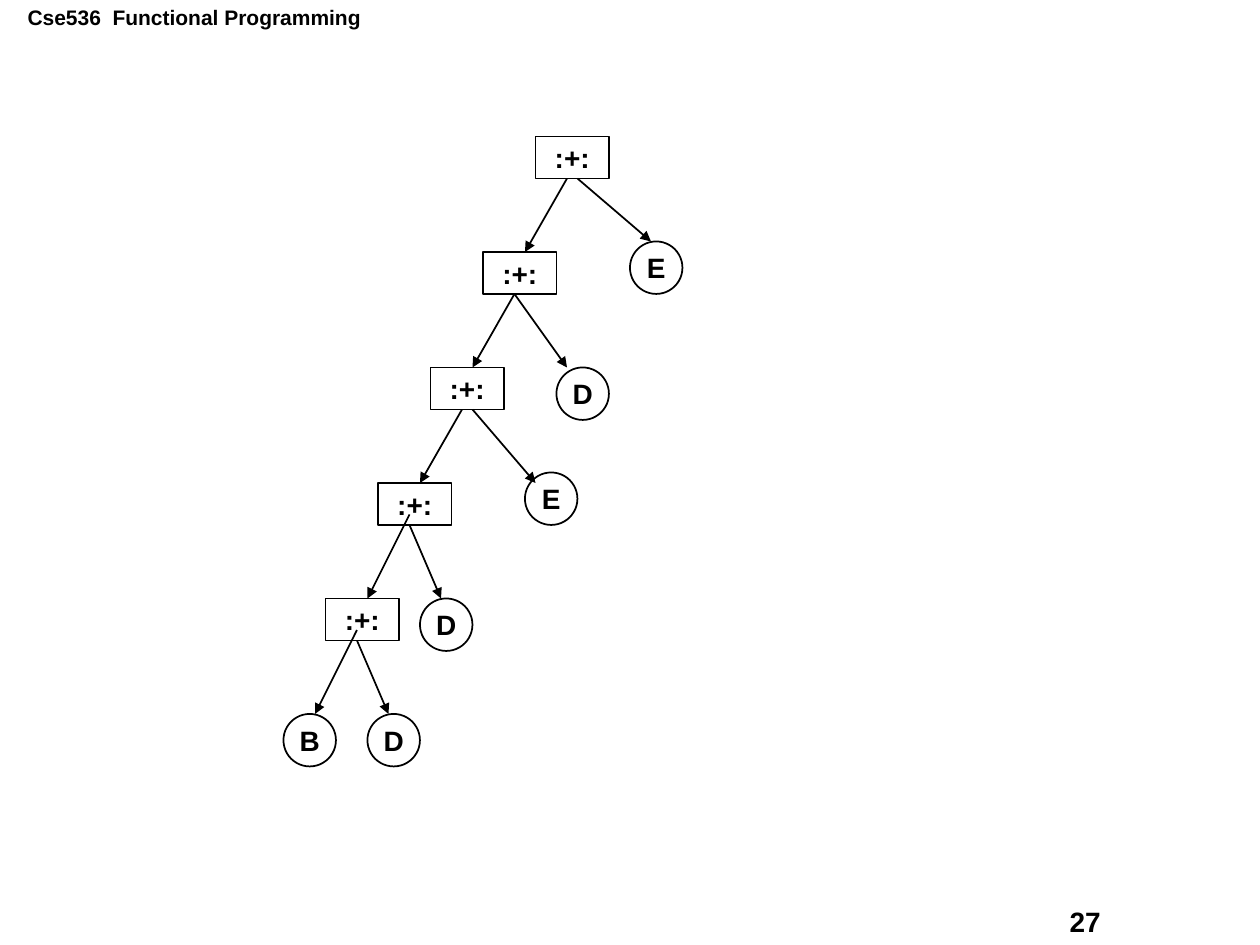
from dataclasses import dataclass

from lxml.etree import SubElement
from pptx import Presentation
from pptx.dml.color import RGBColor
from pptx.enum.shapes import MSO_CONNECTOR, MSO_SHAPE
from pptx.enum.text import MSO_ANCHOR, PP_ALIGN
from pptx.oxml.ns import qn
from pptx.util import Inches, Pt

BLACK = RGBColor(0, 0, 0)
WHITE = RGBColor(255, 255, 255)
FONT = "Arial"
CELL = Inches(1) // 12
COLUMNS, ROWS = 120, 90

Spot = tuple[int, int]

ROOT: Spot = (51, 13)
STEP: Spot = (-5, 11)
OPERATOR_SIZE: Spot = (7, 4)
LEAF_SIZE: Spot = (5, 5)
LEFT_TIP: Spot = (-1, 11)
LAST_LEFT_LEAF: Spot = (-4, 11)


@dataclass(frozen=True)
class Level:
    leaf: str
    leaf_at: Spot
    left_start: Spot
    right_start: Spot
    right_tip: Spot


@dataclass(frozen=True)
class Label:
    text: str
    left: float
    top: float
    width: float
    height: float
    size: int
    wrap: bool


LEVELS = [
    Level("E", (9, 10), (3, 4), (4, 4), (11, 10)),
    Level("D", (7, 11), (3, 4), (3, 4), (8, 11)),
    Level("E", (9, 10), (3, 4), (4, 4), (10, 11)),
    Level("D", (4, 11), (3, 3), (3, 4), (6, 11)),
    Level("D", (4, 11), (3, 3), (3, 4), (6, 11)),
]

LABELS = [
    Label("Cse536  Functional Programming", 0.12, -0.01, 2.85, 0.3, 12, False),
    Label("27", 8.39, 7.13, 1.27, 0.36, 16, True),
]


def shift(origin: Spot, offset: Spot, times: int = 1) -> Spot:
    return origin[0] + times * offset[0], origin[1] + times * offset[1]


def add_span(para, text: str, size: int) -> None:
    span = para.add_run()
    span.text = text
    span.font.name = FONT
    span.font.size = Pt(size)
    span.font.bold = True
    span.font.color.rgb = BLACK


def add_label(page, label: Label) -> None:
    box = page.shapes.add_textbox(
        Inches(label.left), Inches(label.top), Inches(label.width), Inches(label.height)
    )
    box.text_frame.word_wrap = label.wrap
    add_span(box.text_frame.paragraphs[0], label.text, label.size)


def add_node(page, kind: MSO_SHAPE, text: str, at: Spot, size: Spot) -> None:
    node = page.shapes.add_shape(kind, *(CELL * value for value in at + size))
    node.shadow.inherit = False
    node.fill.solid()
    node.fill.fore_color.rgb = WHITE
    node.line.color.rgb = BLACK
    node.line.width = Pt(1)
    frame = node.text_frame
    frame.word_wrap = False
    frame.vertical_anchor = MSO_ANCHOR.MIDDLE
    para = frame.paragraphs[0]
    para.alignment = PP_ALIGN.CENTER
    add_span(para, text, 16)


def add_arrow(page, start: Spot, tip: Spot) -> None:
    arrow = page.shapes.add_connector(
        MSO_CONNECTOR.STRAIGHT, *(CELL * value for value in start + tip)
    )
    arrow.line.color.rgb = BLACK
    arrow.line.width = Pt(1)
    SubElement(arrow.line._get_or_add_ln(), qn("a:tailEnd"), type="triangle")
    SubElement(arrow._element.spPr, qn("a:effectLst"))


def add_tree(page) -> None:
    spots = [shift(ROOT, STEP, depth) for depth in range(len(LEVELS))]
    for level, spot in zip(LEVELS, spots):
        add_node(page, MSO_SHAPE.RECTANGLE, ":+:", spot, OPERATOR_SIZE)
        add_node(page, MSO_SHAPE.OVAL, level.leaf, shift(spot, level.leaf_at), LEAF_SIZE)
    add_node(page, MSO_SHAPE.OVAL, "B", shift(spots[-1], LAST_LEFT_LEAF), LEAF_SIZE)
    for level, spot in zip(LEVELS, spots):
        add_arrow(page, shift(spot, level.left_start), shift(spot, LEFT_TIP))
        add_arrow(page, shift(spot, level.right_start), shift(spot, level.right_tip))


def main() -> None:
    deck = Presentation()
    deck.slide_width = CELL * COLUMNS
    deck.slide_height = CELL * ROWS
    page = deck.slides.add_slide(deck.slide_layouts[6])
    for label in LABELS:
        add_label(page, label)
    add_tree(page)
    deck.save("out.pptx")


if __name__ == "__main__":
    main()
